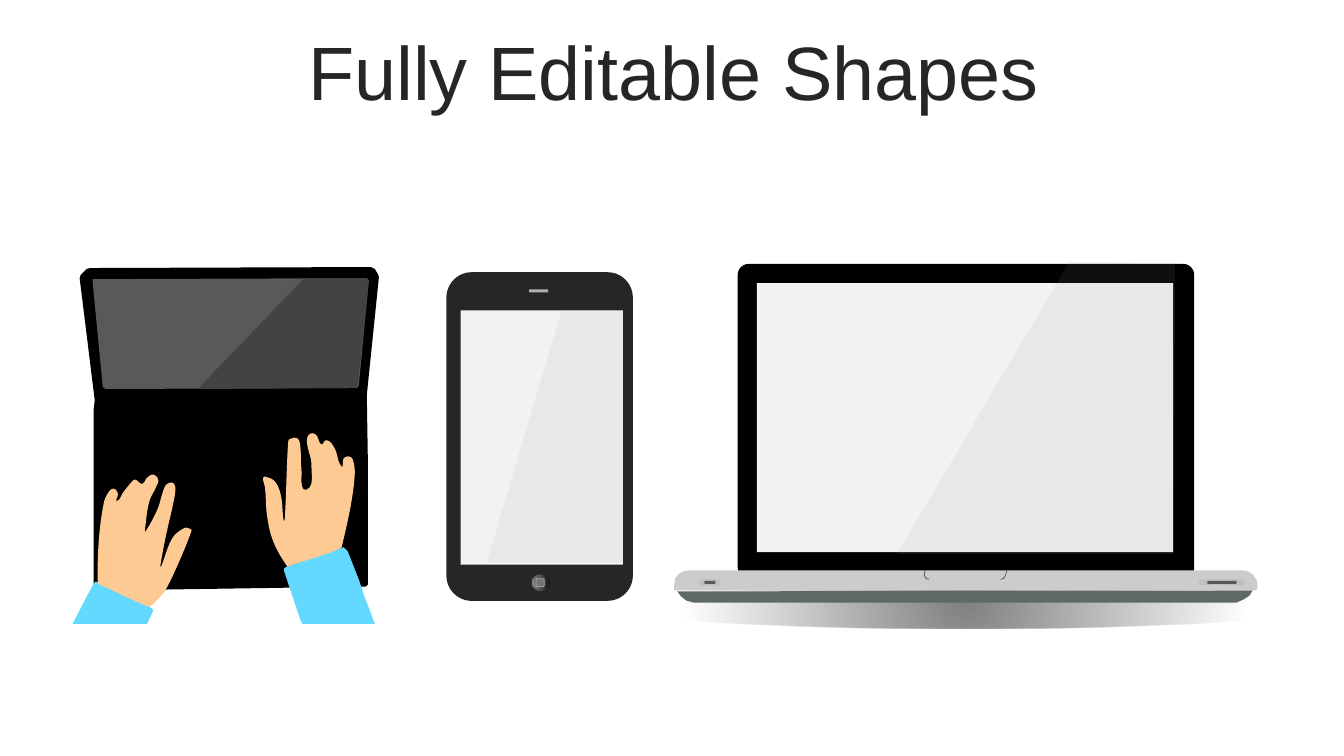
import dataclasses
import itertools
import typing

import lxml.etree
import pptx
import pptx.dml.color
import pptx.enum.shapes
import pptx.enum.text
import pptx.oxml
import pptx.oxml.ns
import pptx.util

Cm = pptx.util.Cm
Pt = pptx.util.Pt
SHAPE = pptx.enum.shapes.MSO_SHAPE

COLORS = {
    "title": "262626", "shadow": "808080", "foot": "5F6767", "black": "000000",
    "display": "F2F2F2", "base": "CCCCCC", "notch": "4D4D4D", "slot": "BFBFBF",
    "port": "595959", "glare": "999999", "phone": "262626", "speaker": "B0B0B0",
    "square": "737373", "sleeve": "64D9FF", "skin": "FDCA93", "screen": "595959",
    "reflection": "434343", "button_dark": "0F0F0F", "button_light": "BFBFBF",
}
TITLE_FONT = {"name": "Arial", "size": Pt(54)}
TITLE_PARA = {"alignment": pptx.enum.text.PP_ALIGN.CENTER, "line_spacing": 0.9}
RADIAL = '<a:path path="circle"><a:fillToRect l="50000" t="50000" r="50000" b="50000"/></a:path>'
LEFTWARD = '<a:lin ang="10800000" scaled="0"/>'

LEFT_HAND = [
    (80, 206), (85, 211), (83, 218), (76, 233), (72, 259), (72, 263), (84, 241),
    (90, 222), (93, 216), (99, 214), (102, 219), (100, 234), (93, 265), (87, 297),
    (88, 297), (99, 269), (111, 259), (117, 260), (118, 262), (105, 294), (92, 321),
    (86, 328), (78, 336), (75, 337), (27, 315), (25, 314), (26, 272), (31, 234),
    (36, 223), (41, 220), (45, 225), (44, 232), (50, 224), (58, 214), (62, 211),
    (69, 215), (74, 209),
]
RIGHT_HAND = [
    (237, 165), (242, 167), (247, 176), (251, 172), (256, 174), (261, 182), (267, 198),
    (269, 190), (274, 188), (278, 191), (280, 205), (276, 237), (267, 278), (266, 279),
    (251, 285), (216, 296), (213, 297), (199, 272), (193, 247), (191, 219), (189, 210),
    (191, 208), (201, 213), (207, 228), (209, 249), (210, 252), (211, 243), (213, 191),
    (214, 174), (215, 171), (223, 170), (226, 178), (227, 199), (232, 221), (237, 196),
    (233, 177), (233, 169),
]


def color(name):
    """Return the named colour."""
    return pptx.dml.color.RGBColor.from_string(COLORS[name])


def smooth(points, steps=6):
    """Return a closed smooth curve through the points."""
    knots = [complex(*point) for point in points]
    count = len(knots)
    chords = [knots[(i + 1) % count] - knots[i - 1] for i in range(count)]
    curve = []
    for i, step in itertools.product(range(count), range(steps)):
        j, t = (i + 1) % count, step / steps
        start, end = knots[i], knots[j]
        length = abs(end - start)
        leave = chords[i] / abs(chords[i]) * length
        arrive = chords[j] / abs(chords[j]) * length
        spot = (start * (2 * t**3 - 3 * t**2 + 1) + end * (3 * t**2 - 2 * t**3)
                + leave * (t**3 - 2 * t**2 + t) + arrive * (t**3 - t**2))
        curve.append((spot.real, spot.imag))
    return curve


def paint(shape, fill=None, line=None, weight=0.5, alpha=None):
    """Set the fill, outline and opacity of a shape."""
    shape.shadow.inherit = False
    if fill:
        shape.fill.solid()
        shape.fill.fore_color.rgb = color(fill)
    else:
        shape.fill.background()
    if line:
        shape.line.color.rgb = color(line)
        shape.line.width = Pt(weight)
    else:
        shape.line.fill.background()
    if alpha is not None:
        tone = shape.fill._xPr.find(".//" + pptx.oxml.ns.qn("a:srgbClr"))
        lxml.etree.SubElement(tone, pptx.oxml.ns.qn("a:alpha"), val=str(alpha * 1000))


def blend(shape, stops, direction):
    """Replace a solid fill by a gradient of (position, colour, opacity) stops."""
    marks = "".join(
        f'<a:gs pos="{place * 1000}"><a:srgbClr val="{COLORS[name]}">'
        f'<a:alpha val="{alpha * 1000}"/></a:srgbClr></a:gs>'
        for place, name, alpha in stops)
    gradient = pptx.oxml.parse_xml(
        f'<a:gradFill {pptx.oxml.ns.nsdecls("a")} rotWithShape="1">'
        f'<a:gsLst>{marks}</a:gsLst>{direction}</a:gradFill>')
    solid = shape._element.spPr.find(pptx.oxml.ns.qn("a:solidFill"))
    solid.getparent().replace(solid, gradient)


@dataclasses.dataclass
class Drawing:
    """A group drawn on a grid of units across a box."""
    group: typing.Any
    box: tuple
    columns: int

    def preset(self, kind, area, fill, corner=None, **style):
        """Add a preset shape at a grid area."""
        unit = self.box[2] / self.columns
        left, top, width, height = (round(value * unit) for value in area)
        shape = self.group.shapes.add_shape(
            kind, self.box[0] + left, self.box[1] + top, width, height)
        if corner is not None:
            shape.adjustments[0] = corner
        paint(shape, fill, **style)
        return shape

    def outline(self, points, fill=None, close=True, **style):
        """Add an outline through grid points."""
        unit = self.box[2] / self.columns
        spots = [(round(x * unit), round(y * unit)) for x, y in points]
        builder = self.group.shapes.build_freeform(*spots[0])
        builder.add_line_segments(spots[1:], close=close)
        paint(builder.convert_to_shape(*self.box[:2]), fill, **style)


def add_title(page, box, text):
    """Add the centred heading."""
    frame = page.shapes.add_textbox(*box).text_frame
    frame.word_wrap = True
    frame.vertical_anchor = pptx.enum.text.MSO_ANCHOR.MIDDLE
    para = frame.paragraphs[0]
    span = para.add_run()
    span.text = text
    for target, values in ((para, TITLE_PARA), (span.font, TITLE_FONT)):
        for name, value in values.items():
            setattr(target, name, value)
    span.font.color.rgb = color("title")


def add_laptop(page, box):
    """Draw the open laptop seen from the front."""
    draw = Drawing(page.shapes.add_group_shape(), box, 580)
    shadow = draw.preset(SHAPE.OVAL, (-109, 304, 796, 58), "shadow")
    blend(shadow, [(0, "shadow", 100), (70, "shadow", 0), (100, "shadow", 0)], RADIAL)
    draw.outline([(3, 325), (7, 330), (12, 334), (19, 336), (558, 336), (565, 333),
                  (571, 329), (574, 324)], "foot")
    draw.preset(SHAPE.ROUNDED_RECTANGLE, (63, 0, 453, 312), "black", 0.035)
    draw.preset(SHAPE.RECTANGLE, (82, 19, 413, 267), "display")
    draw.outline([(0, 324), (0, 319), (1, 312), (5, 307), (10, 305), (15, 304), (564, 304),
                  (569, 305), (574, 308), (578, 314), (579, 319), (578, 324)], "base")
    for hook in ([(249, 304), (248, 309), (250, 312), (253, 313)],
                 [(330, 304), (329, 309), (327, 312), (324, 313)]):
        draw.outline(hook, close=False, line="notch")
    for left, width, inset in ((25, 21, 5), (521, 45, 8)):
        draw.preset(SHAPE.ROUNDED_RECTANGLE, (left, 313, width, 6), "slot", 0.28)
        draw.preset(SHAPE.ROUNDED_RECTANGLE,
                    (left + inset, 314.5, width - 2 * inset, 3), "port", 0.28)
    draw.outline([(392, -2), (497, -1), (496, 288), (221, 288)], "glare", alpha=10)


def add_phone(page, box):
    """Draw the upright phone."""
    draw = Drawing(page.shapes.add_group_shape(), box, 185)
    draw.preset(SHAPE.ROUNDED_RECTANGLE, (0, 0, 185, 326), "phone", 0.136)
    draw.preset(SHAPE.RECTANGLE, (82, 17, 19, 3), "speaker")
    button = draw.preset(SHAPE.OVAL, (84, 299, 19, 18), "port", line="phone", weight=0)
    blend(button, [(0, "button_dark", 100), (56, "port", 100), (91, "shadow", 100),
                   (100, "button_light", 100)], LEFTWARD)
    draw.preset(SHAPE.ROUNDED_RECTANGLE, (89, 304, 8, 8), "square", line="speaker")
    draw.preset(SHAPE.RECTANGLE, (14, 38, 161, 252), "display")
    draw.outline([(114, 39), (175, 39), (175, 288), (40, 288)], "glare", alpha=10)


def add_typing(page, box):
    """Draw the dark laptop with two typing hands."""
    draw = Drawing(page.shapes.add_group_shape(), box, 304)
    draw.outline([(304, 10), (303, 7), (300, 2), (296, 0), (17, 1), (14, 2), (8, 8), (7, 11),
                  (22, 132), (21, 141), (21, 314), (22, 319), (25, 321), (291, 317),
                  (293, 315), (293, 189), (292, 127)], "black")
    draw.outline([(266, 279), (269, 278), (273, 282), (284, 310), (290, 328), (300, 354),
                  (228, 354), (226, 350), (210, 302), (210, 299), (213, 297)], "sleeve")
    draw.outline([(23, 312), (25, 313), (52, 325), (73, 335), (79, 339), (80, 341),
                  (74, 354), (0, 354), (13, 329), (21, 314)], "sleeve")
    for hand in (LEFT_HAND, RIGHT_HAND):
        draw.outline(smooth(hand), "skin")
    draw.outline([(292, 11), (294, 13), (284, 118), (282, 120), (33, 121), (30, 119),
                  (20, 16), (20, 12)], "screen")
    draw.outline([(292, 11), (294, 13), (283, 118), (281, 120), (124, 121), (230, 11)],
                 "reflection")


def main():
    """Build and save the deck."""
    deck = pptx.Presentation()
    deck.slide_width, deck.slide_height = Cm(33.87), Cm(19.05)
    page = deck.slides.add_slide(deck.slide_layouts[6])
    add_title(page, (Cm(0.9), Cm(0.91), Cm(32.16), Cm(2)), "Fully Editable Shapes")
    add_laptop(page, (Cm(16.99), Cm(6.65), Cm(14.73), Cm(8.6)))
    add_phone(page, (Cm(11.25), Cm(6.86), Cm(4.7), Cm(8.28)))
    add_typing(page, (Cm(1.83), Cm(6.73), Cm(7.72), Cm(8.99)))
    deck.save("out.pptx")


if __name__ == "__main__":
    main()
